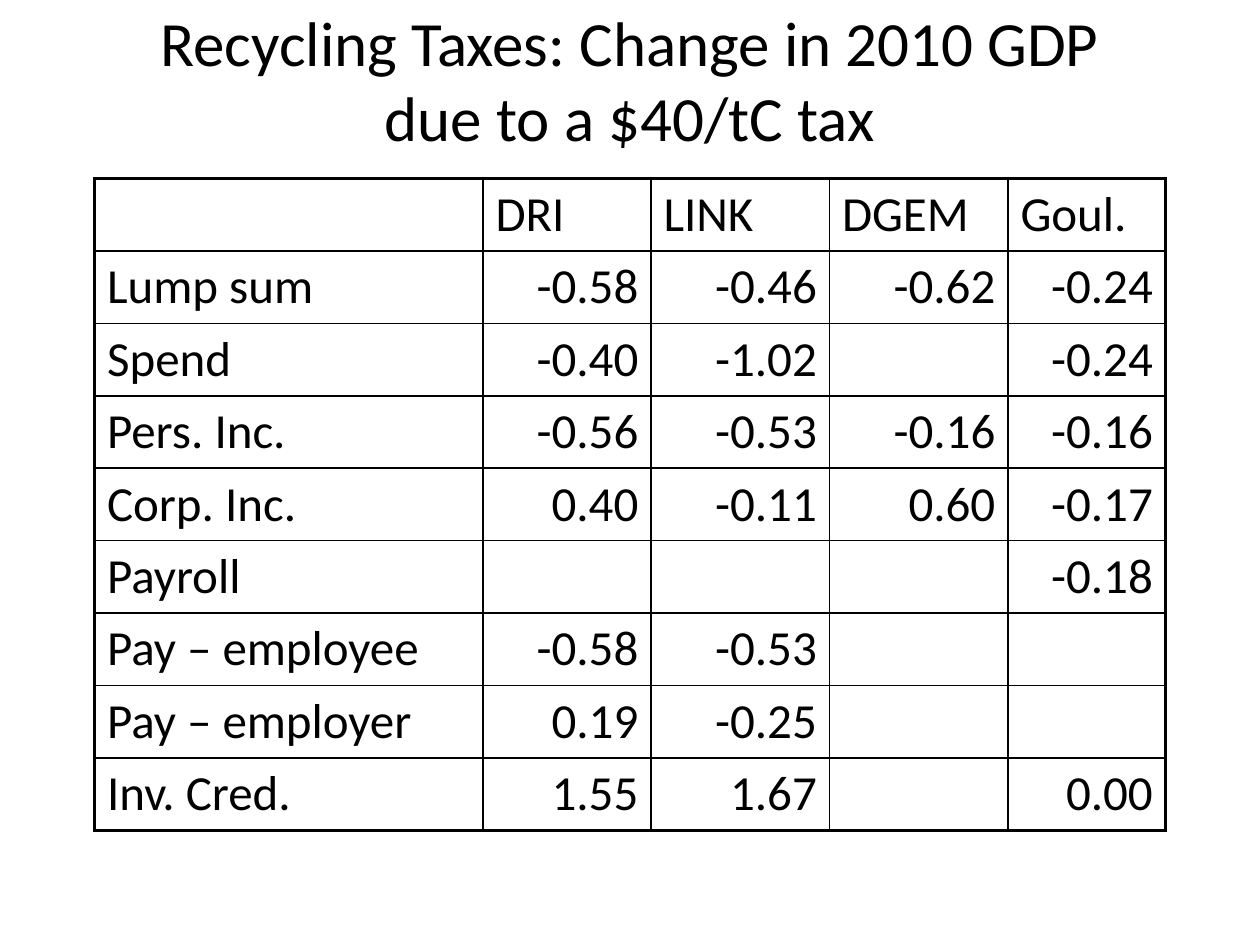
from lxml import etree
from pptx import Presentation
from pptx import util as u
from pptx.dml.color import RGBColor
from pptx.enum import text
from pptx.oxml import ns

BLACK = RGBColor(0, 0, 0)
FONT = "Calibri"
OUTER, INNER = 2.25, 1
MODELS = ["", "DRI", "LINK", "DGEM", "Goul."]
GDP_CHANGES = [
    ["Lump sum", "-0.58", "-0.46", "-0.62", "-0.24"],
    ["Spend", "-0.40", "-1.02", "", "-0.24"],
    ["Pers. Inc.", "-0.56", "-0.53", "-0.16", "-0.16"],
    ["Corp. Inc.", "0.40", "-0.11", "0.60", "-0.17"],
    ["Payroll", "", "", "", "-0.18"],
    ["Pay – employee", "-0.58", "-0.53", "", ""],
    ["Pay – employer", "0.19", "-0.25", "", ""],
    ["Inv. Cred.", "1.55", "1.67", "", "0.00"],
]


class TaxSlide:
    """Draws styled text and ruled tables on one slide, measured in points."""

    def __init__(self, slide, font, color):
        self.slide, self.font, self.color = slide, font, color

    def add_wording(self, frame, wording, size, align):
        paragraph = frame.paragraphs[0]
        paragraph.alignment = align
        run = paragraph.add_run()
        run.text = wording
        run.font.name, run.font.size = self.font, u.Pt(size)
        run.font.color.rgb = self.color

    def title(self, wording, left, top, width, height, size):
        box = self.slide.shapes.add_textbox(u.Pt(left), u.Pt(top), u.Pt(width), u.Pt(height))
        frame = box.text_frame
        frame.word_wrap = True
        frame.vertical_anchor = text.MSO_ANCHOR.MIDDLE
        self.add_wording(frame, wording, size, text.PP_ALIGN.CENTER)

    def rule(self, cell, sides):
        properties = cell._tc.get_or_add_tcPr()
        for position, (side, weight) in enumerate(sides.items()):
            line = etree.Element(ns.qn(f"a:ln{side}"), w=str(u.Pt(weight)))
            fill = etree.SubElement(line, ns.qn("a:solidFill"))
            etree.SubElement(fill, ns.qn("a:srgbClr"), val=str(self.color))
            properties.insert(position, line)

    def table(self, rows, left, top, widths, row_height, size):
        last_row, last_col = len(rows) - 1, len(widths) - 1
        grid = self.slide.shapes.add_table(
            len(rows), len(widths), u.Pt(left), u.Pt(top),
            u.Pt(sum(widths)), u.Pt(row_height * len(rows))).table
        grid.first_row = grid.horz_banding = False
        for column, width in zip(grid.columns, widths):
            column.width = u.Pt(width)
        for r, row in enumerate(rows):
            grid.rows[r].height = u.Pt(row_height)
            for c, entry in enumerate(row):
                cell = grid.cell(r, c)
                cell.fill.background()
                self.rule(cell, {
                    "L": OUTER if c == 0 else INNER,
                    "R": OUTER if c == last_col else INNER,
                    "T": OUTER if r == 0 else INNER,
                    "B": OUTER if r == last_row else INNER,
                })
                if entry:
                    is_value = r > 0 and c > 0
                    align = text.PP_ALIGN.RIGHT if is_value else text.PP_ALIGN.LEFT
                    self.add_wording(cell.text_frame, entry, size, align)


def main():
    deck = Presentation()
    deck.slide_width, deck.slide_height = u.Pt(720), u.Pt(540)
    taxes = TaxSlide(deck.slides.add_slide(deck.slide_layouts[6]), FONT, BLACK)
    taxes.title("Recycling Taxes: Change in 2010 GDP due to a $40/tC tax",
                54, 0, 612, 90, 36)
    taxes.table([MODELS] + GDP_CHANGES, 54, 102, [222, 96, 102, 102, 90], 41.4, 28)
    deck.save("out.pptx")


if __name__ == "__main__":
    main()
